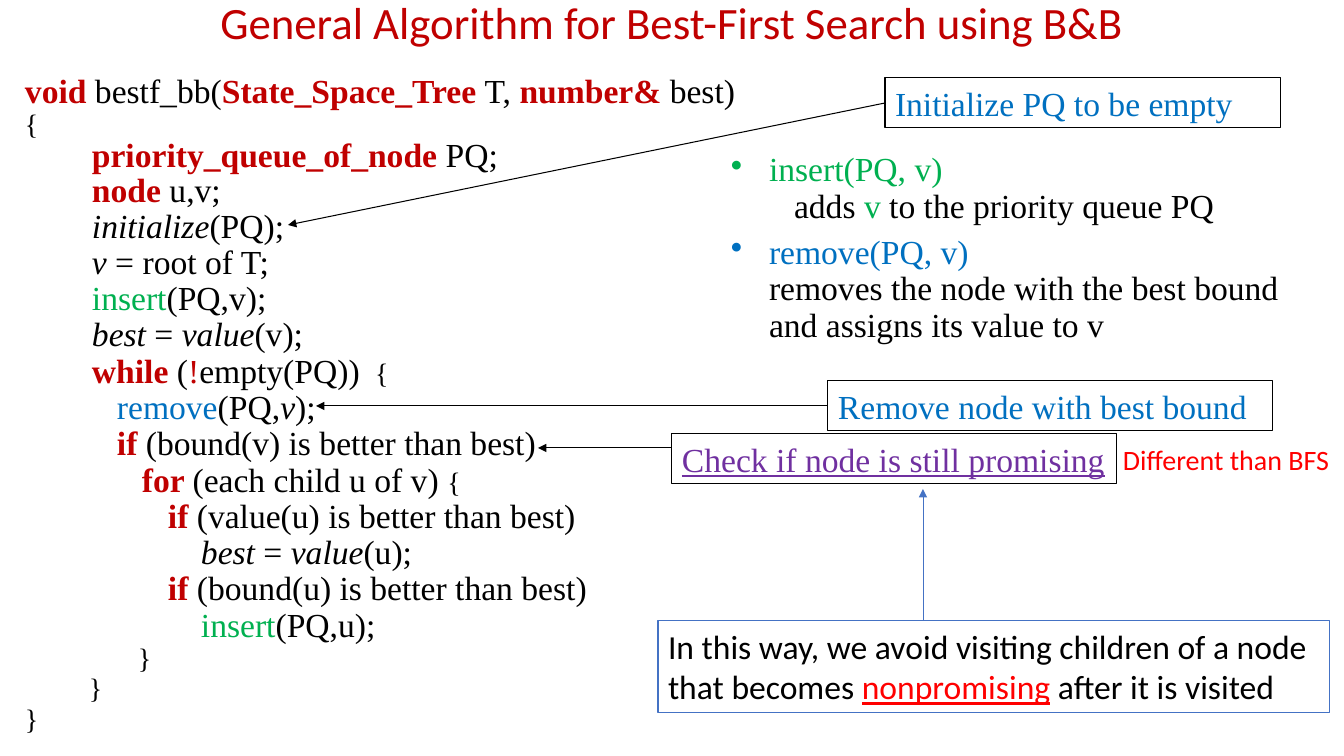
from lxml import etree
from pptx import Presentation
from pptx.dml.color import RGBColor
from pptx.enum.shapes import MSO_CONNECTOR, MSO_SHAPE
from pptx.enum.text import MSO_ANCHOR, MSO_AUTO_SIZE, PP_ALIGN
from pptx.oxml.ns import qn
from pptx.util import Pt

STRAIGHT = MSO_CONNECTOR.STRAIGHT
RECTANGLE = MSO_SHAPE.RECTANGLE
TOP, MIDDLE = MSO_ANCHOR.TOP, MSO_ANCHOR.MIDDLE
GROW, FIXED = MSO_AUTO_SIZE.SHAPE_TO_FIT_TEXT, MSO_AUTO_SIZE.NONE
CENTER, LEFT = PP_ALIGN.CENTER, PP_ALIGN.LEFT
LEFT_SIDE = 1

EMU_PER_PX = 914400 / 100.8
SERIF, SANS = "Times New Roman", "Calibri"
COLORS = {
    "black": "000000", "crimson": "C00000", "red": "FF0000", "green": "00B050",
    "blue": "0070C0", "purple": "7030A0", "accent": "4472C4",
}

PLAIN = {}
KEYWORD = {"color": "crimson", "bold": True}
MARK = {"color": "crimson"}
NAME = {"italic": True}
INSERT = {"color": "green"}
REMOVE = {"color": "blue"}
BRACE = {"size": 20}

# Left margin in px, line spacing, runs
CODE = [
    (0, 0.9, [("void ", KEYWORD), ("bestf_bb(", PLAIN), ("State_Space_Tree ", KEYWORD),
              ("T, ", PLAIN), ("number& ", KEYWORD), ("best)", PLAIN)]),
    (0, 0.9, [("{", BRACE)]),
    (67, 0.85, [("priority_queue_of_node", KEYWORD), (" PQ;", PLAIN)]),
    (67, 0.85, [("node ", KEYWORD), ("u,v;", PLAIN)]),
    (67, 0.9, [("initialize", NAME), ("(PQ);", PLAIN)]),
    (67, 0.9, [("v", NAME), (" = root of T;", PLAIN)]),
    (67, 0.9, [("insert", INSERT), ("(PQ,v);", PLAIN)]),
    (67, 0.9, [("best", NAME), (" = ", PLAIN), ("value", NAME), ("(v);", PLAIN)]),
    (67, 0.9, [("while ", KEYWORD), ("(", PLAIN), ("!", MARK), ("empty(PQ)) ", PLAIN),
               (" {", BRACE)]),
    (92, 0.9, [("remove", REMOVE), ("(PQ,", PLAIN), ("v", NAME), (");", PLAIN)]),
    (92, 0.9, [("if", KEYWORD), (" (bound(v) is better than best)", PLAIN)]),
    (117, 0.9, [("for ", KEYWORD), ("(each child u of v) ", PLAIN), ("{", BRACE)]),
    (143, 0.9, [("if", KEYWORD), (" (value(u) is better than best)", PLAIN)]),
    (176, 0.9, [("best", NAME), (" = ", PLAIN), ("value", NAME), ("(u);", PLAIN)]),
    (143, 0.9, [("if ", KEYWORD), ("(bound(u) is better than best)", PLAIN)]),
    (176, 0.9, [("insert", INSERT), ("(PQ,u);", PLAIN)]),
    (113, 0.9, [("}", BRACE)]),
    (64, 0.9, [("}", BRACE)]),
    (0, 0.9, [("}", BRACE)]),
]

# Left margin in px, space before in points, bullet, runs
OPERATIONS = [
    (38, 4.8, True, [("insert(PQ, v)", INSERT)]),
    (63, 0, False, [("adds ", PLAIN), ("v ", INSERT), ("to the priority queue PQ", PLAIN)]),
    (38, 7.2, True, [("remove(PQ, v)", REMOVE)]),
    (38, 0, False, [("removes the node with the best bound and assigns its value to v", PLAIN)]),
]


def px(length):
    return round(length * EMU_PER_PX)


def rgb(color):
    return RGBColor.from_string(COLORS[color])


def add_text(paragraph, text, size=24, font=SERIF, color="black",
             bold=False, italic=False, underline=False):
    run = paragraph.add_run()
    run.text = text
    run.font.size = Pt(size)
    run.font.name = font
    run.font.color.rgb = rgb(color)
    run.font.bold = bold
    run.font.italic = italic
    run.font.underline = underline


def add_runs(paragraph, runs, **common):
    for text, style in runs:
        add_text(paragraph, text, **{**common, **style})


def set_frame(shape, vertical_inset=5, anchor=TOP, auto_size=FIXED):
    """Prepare the text frame and return it."""
    frame = shape.text_frame
    frame.word_wrap = True
    frame.auto_size = auto_size
    frame.vertical_anchor = anchor
    frame.margin_left = frame.margin_right = px(10)
    frame.margin_top = frame.margin_bottom = px(vertical_inset)
    return frame


def add_text_box(slide, place, **frame_format):
    return set_frame(slide.shapes.add_textbox(*map(px, place)), **frame_format)


def add_callout(slide, place, runs, line="black", **common):
    shape = slide.shapes.add_shape(RECTANGLE, *map(px, place))
    shape.shadow.inherit = False
    shape.fill.background()
    shape.line.color.rgb = rgb(line)
    shape.line.width = Pt(0.75)
    paragraph = set_frame(shape, auto_size=GROW).paragraphs[0]
    paragraph.alignment = LEFT
    add_runs(paragraph, runs, **common)
    return shape


def add_arrow(slide, start, end, color="black", width=0.75, source=None):
    """Draw an arrow, joined to the left side of source if one is given."""
    arrow = slide.shapes.add_connector(STRAIGHT, *map(px, start + end))
    if source is not None:
        arrow.begin_connect(source, LEFT_SIDE)
    arrow.line.color.rgb = rgb(color)
    arrow.line.width = Pt(width)
    etree.SubElement(arrow.line._get_or_add_ln(), qn("a:tailEnd"), type="triangle")
    etree.SubElement(arrow._element.spPr, qn("a:effectLst"))


def next_paragraph(frame, index):
    return frame.add_paragraph() if index else frame.paragraphs[0]


def set_indent(paragraph, margin, hanging=0):
    properties = paragraph._p.get_or_add_pPr()
    properties.set("marL", str(px(margin)))
    properties.set("indent", str(px(-hanging)))
    return properties


def add_title(slide):
    frame = add_text_box(slide, (168, -8, 1008, 68), vertical_inset=2, anchor=MIDDLE)
    frame.margin_bottom = px(5)
    paragraph = frame.paragraphs[0]
    paragraph.alignment = CENTER
    paragraph.line_spacing = 0.9
    add_text(paragraph, "General Algorithm for Best-First Search using B&B",
             size=32, font=SANS, color="crimson")


def add_code(slide):
    frame = add_text_box(slide, (15, 72, 731, 668), vertical_inset=2)
    for index, (margin, spacing, runs) in enumerate(CODE):
        paragraph = next_paragraph(frame, index)
        paragraph.line_spacing = spacing
        set_indent(paragraph, margin)
        add_runs(paragraph, runs)


def add_operations(slide):
    frame = add_text_box(slide, (721, 148, 600, 192))
    for index, (margin, space, bullet, runs) in enumerate(OPERATIONS):
        paragraph = next_paragraph(frame, index)
        paragraph.line_spacing = 0.9
        paragraph.space_before = Pt(space)
        properties = set_indent(paragraph, margin, margin if bullet else 0)
        if bullet:
            etree.SubElement(properties, qn("a:buChar"), char="•")
        add_runs(paragraph, runs)


def main():
    presentation = Presentation()
    presentation.slide_width, presentation.slide_height = px(1344), px(756)
    slide = presentation.slides.add_slide(presentation.slide_layouts[6])

    add_title(slide)
    add_code(slide)
    add_operations(slide)

    initialize = add_callout(slide, (885, 78, 396, 50),
                             [("Initialize PQ to be empty", REMOVE)])
    add_arrow(slide, (885, 103), (288, 225), source=initialize)

    remove = add_callout(slide, (828, 381, 445, 50),
                         [("Remove node with best bound", REMOVE)])
    add_arrow(slide, (828, 406), (316, 406), source=remove)

    add_callout(slide, (672, 434, 445, 50), [("Check if node is still promising", PLAIN)],
                color="purple", underline=True)
    add_arrow(slide, (672, 448), (538, 448))

    difference = add_text_box(slide, (1113, 437, 231, 44), auto_size=GROW)
    add_text(difference.paragraphs[0], "Different than BFS", size=20, font=SANS, color="red")

    add_callout(slide, (658, 621, 672, 92), [
        ("In this way, we avoid visiting children of a node that becomes ", PLAIN),
        ("nonpromising", {"color": "red", "underline": True}),
        (" after it is visited", PLAIN),
    ], line="accent", font=SANS)
    add_arrow(slide, (923, 621), (923, 489), color="accent", width=0.5)

    presentation.save("out.pptx")


if __name__ == "__main__":
    main()
